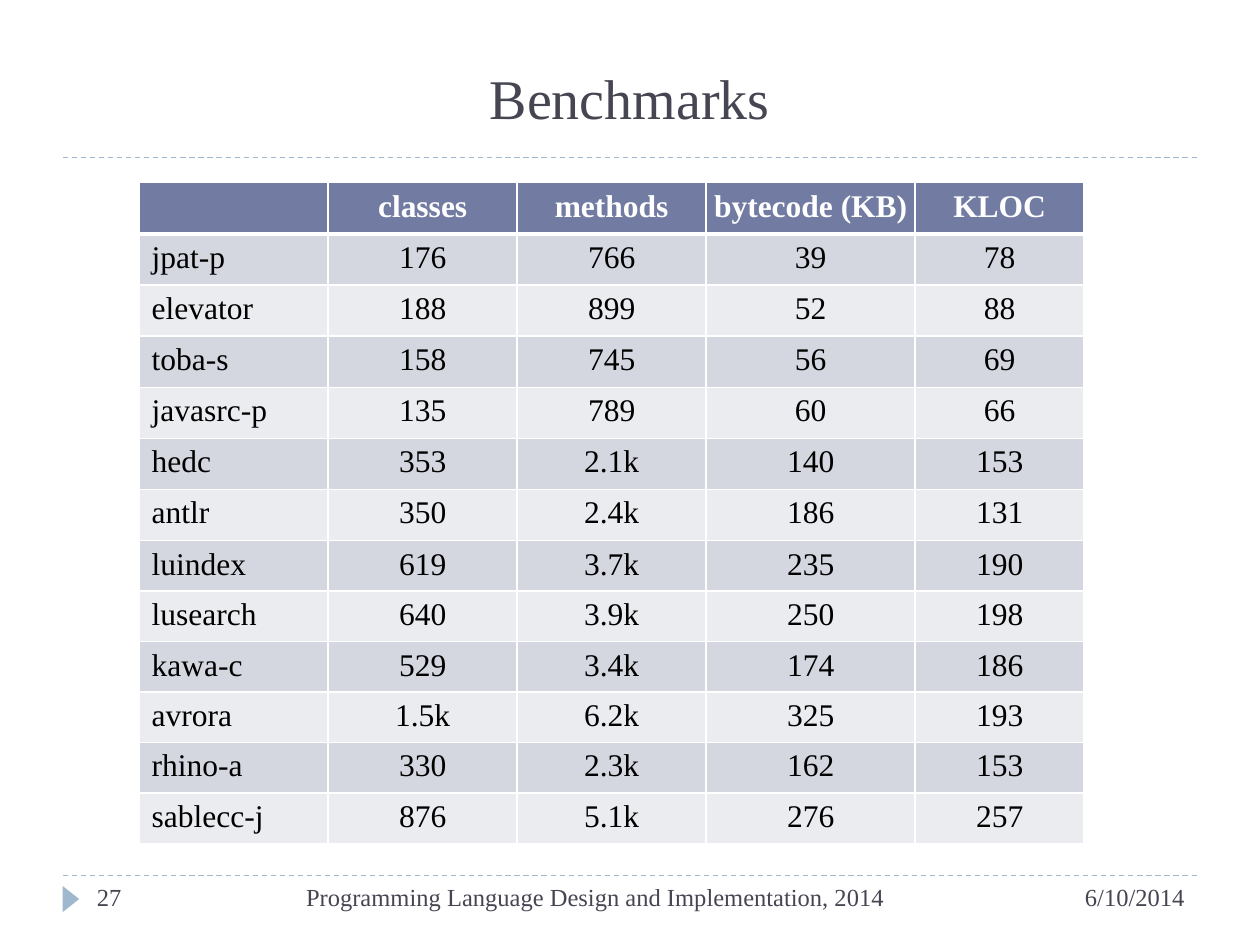
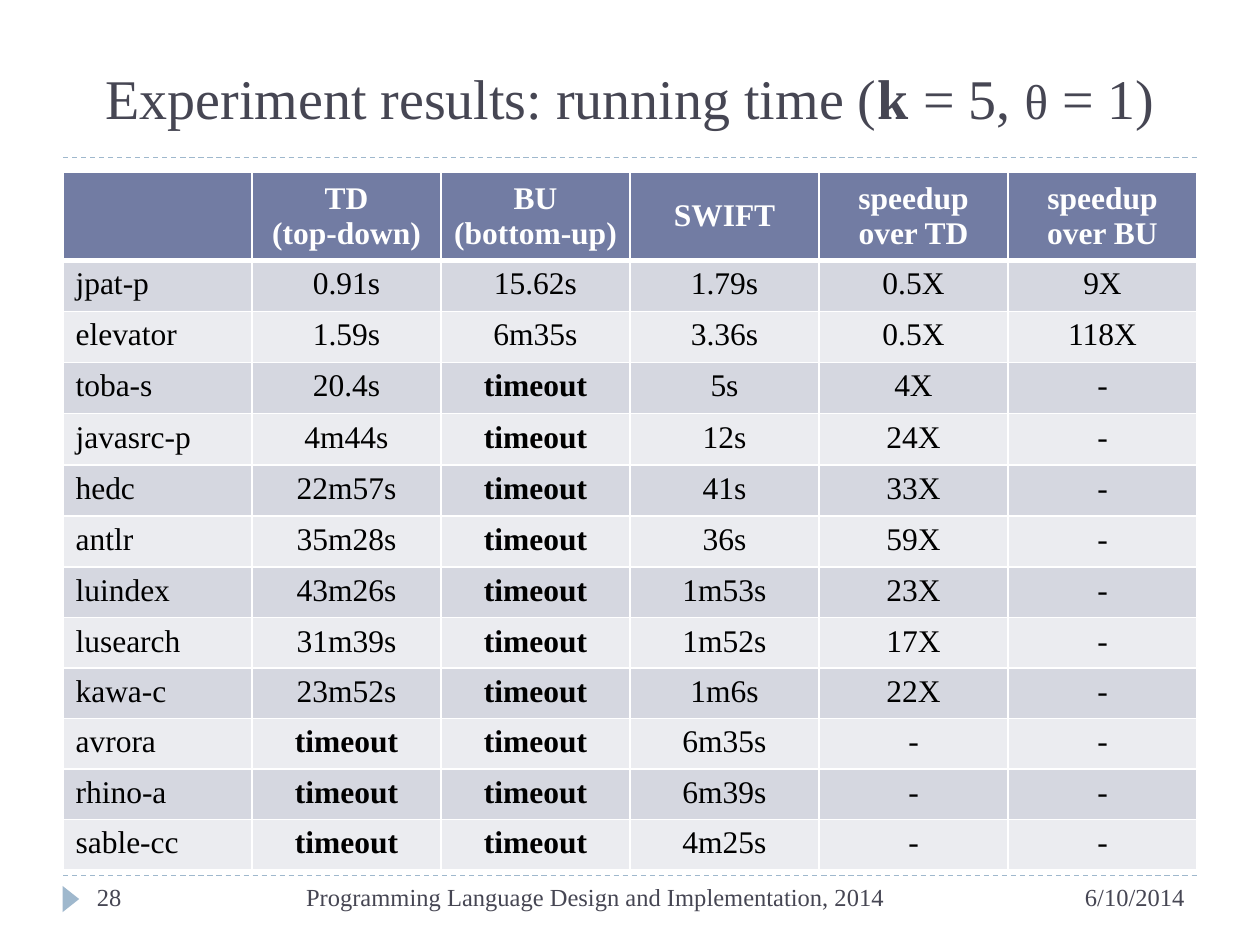
"""Builds two slides with benchmark tables for a program analysis talk."""
from lxml import etree
from pptx import Presentation
from pptx.dml.color import RGBColor
from pptx.enum import dml, shapes, text
from pptx.oxml import ns
from pptx.util import Pt

HUES = {"ink": "464653", "rule": "9FB8CD", "head": "727CA3", "odd": "D5D7E0",
        "even": "EBECF0", "white": "FFFFFF", "black": "000000"}
FONT = "Times New Roman"
LEFT, MID, RIGHT = text.PP_ALIGN.LEFT, text.PP_ALIGN.CENTER, text.PP_ALIGN.RIGHT
ROWS = [29.25] * 6 + [27.1] * 6

SIZES = """
jpat-p 176 766 39 78
elevator 188 899 52 88
toba-s 158 745 56 69
javasrc-p 135 789 60 66
hedc 353 2.1k 140 153
antlr 350 2.4k 186 131
luindex 619 3.7k 235 190
lusearch 640 3.9k 250 198
kawa-c 529 3.4k 174 186
avrora 1.5k 6.2k 325 193
rhino-a 330 2.3k 162 153
sablecc-j 876 5.1k 276 257
"""

TIMES = """
jpat-p 0.91s 15.62s 1.79s 0.5X 9X
elevator 1.59s 6m35s 3.36s 0.5X 118X
toba-s 20.4s timeout 5s 4X -
javasrc-p 4m44s timeout 12s 24X -
hedc 22m57s timeout 41s 33X -
antlr 35m28s timeout 36s 59X -
luindex 43m26s timeout 1m53s 23X -
lusearch 31m39s timeout 1m52s 17X -
kawa-c 23m52s timeout 1m6s 22X -
avrora timeout timeout 6m35s - -
rhino-a timeout timeout 6m39s - -
sable-cc timeout timeout 4m25s - -
"""


def hue(key):
    return RGBColor.from_string(HUES[key])


def write(frame, words, align=LEFT, size=18, color="ink", bold=False):
    """Fill a frame with lines of text, or with (text, overrides) runs on one line."""
    lines = [[(line, {})] for line in words.split("\n")] if isinstance(words, str) else [words]
    for n, runs in enumerate(lines):
        para = frame.add_paragraph() if n else frame.paragraphs[0]
        para.alignment = align
        for part, extra in runs:
            run = para.add_run()
            run.text = part
            run.font.name = FONT
            run.font.size = Pt(extra.get("size", size))
            run.font.bold = extra.get("bold", bold)
            run.font.color.rgb = hue(color)


def edge(cell, side, width):
    """Draw one white border of a cell."""
    line = etree.SubElement(cell._tc.get_or_add_tcPr(), ns.qn(f"a:ln{side}"), w=str(Pt(width)))
    fill = etree.SubElement(line, ns.qn("a:solidFill"))
    etree.SubElement(fill, ns.qn("a:srgbClr"), val=HUES["white"])


class Deck:
    """Holds the shared style and the current slide."""

    def __init__(self):
        self.prs = Presentation()
        self.prs.slide_width, self.prs.slide_height = Pt(720), Pt(540)

    def page(self, num, title):
        """Start a slide with its title, rules and footer."""
        self.slide = self.prs.slides.add_slide(self.prs.slide_layouts[6])
        for y in (90, 500.4):
            self.rule(y)
        self.mark()
        self.label(title, 36, 12.24, 648, 66.24, text.MSO_ANCHOR.BOTTOM, align=MID, size=32)
        foot = [(str(num), 48.24, 64, LEFT), ("6/10/2014", 504, 180, RIGHT),
                ("Programming Language Design and Implementation, 2014", 112.3, 455.8, MID)]
        for words, x, wide, align in foot:
            self.label(words, x, 500.4, wide, 28.8, align=align, size=14)

    def rule(self, y):
        """Draw a dashed line across the slide."""
        line = self.slide.shapes.add_connector(
            shapes.MSO_CONNECTOR.STRAIGHT, Pt(36), Pt(y), Pt(684), Pt(y))
        line.line.color.rgb = hue("rule")
        line.line.width = Pt(0.75)
        line.line.dash_style = dml.MSO_LINE.DASH
        etree.SubElement(line._element.spPr, ns.qn("a:effectLst"))

    def mark(self):
        """Draw the footer triangle that points right."""
        tip = self.slide.shapes.add_shape(
            shapes.MSO_SHAPE.ISOSCELES_TRIANGLE, Pt(33), Pt(509), Pt(15), Pt(9.5))
        tip.rotation = 90
        tip.shadow.inherit = False
        tip.fill.solid()
        tip.fill.fore_color.rgb = hue("rule")
        tip.line.fill.background()

    def label(self, words, x, y, wide, high, anchor=text.MSO_ANCHOR.TOP, **style):
        """Add a text box."""
        frame = self.slide.shapes.add_textbox(Pt(x), Pt(y), Pt(wide), Pt(high)).text_frame
        frame.word_wrap = True
        frame.vertical_anchor = anchor
        write(frame, words, **style)

    def table(self, x, y, cols, top, heads, body):
        """Add a banded table under a header row of the given height."""
        data = [heads] + [line.split() for line in body.strip().split("\n")]
        highs = [top] + ROWS
        grid = self.slide.shapes.add_table(
            len(data), len(cols), Pt(x), Pt(y), Pt(sum(cols)), Pt(sum(highs))).table
        grid.horz_banding = False
        for col, wide in zip(grid.columns, cols):
            col.width = Pt(wide)
        for r, (row, high) in enumerate(zip(data, highs)):
            grid.rows[r].height = Pt(high)
            for c, words in enumerate(row):
                self.cell(grid.cell(r, c), r, c, words, top)

    def cell(self, cell, r, c, words, top):
        """Style and fill one table cell."""
        for side in "LRTB":
            edge(cell, side, 3 if (r, side) in ((0, "B"), (1, "T")) else 1)
        cell.fill.solid()
        cell.fill.fore_color.rgb = hue("head" if r == 0 else "odd" if r % 2 else "even")
        if c:
            cell.margin_left = cell.margin_right = 0
        if r == 0 and top > ROWS[0]:
            cell.vertical_anchor = text.MSO_ANCHOR.MIDDLE
        write(cell.text_frame, words, align=MID if c else LEFT,
              color="black" if r else "white", bold=r == 0 or words == "timeout")


def main():
    deck = Deck()
    deck.page(27, "Benchmarks")
    deck.table(79.5, 104.4, [108, 108, 108, 119.5, 96.5], ROWS[0],
               ["", "classes", "methods", "bytecode (KB)", "KLOC"], SIZES)
    deck.page(28, [("Experiment results: running time (", {}), ("k ", {"bold": True}),
                   ("= 5, ", {}), ("θ", {"size": 28}), (" = 1)", {})])
    deck.table(36, 98.3, [108] * 6, 47.1,
               ["", "TD\n(top-down)", "BU\n(bottom-up)", "SWIFT",
                "speedup\nover TD", "speedup\nover BU"], TIMES)
    deck.prs.save("out.pptx")


if __name__ == "__main__":
    main()
